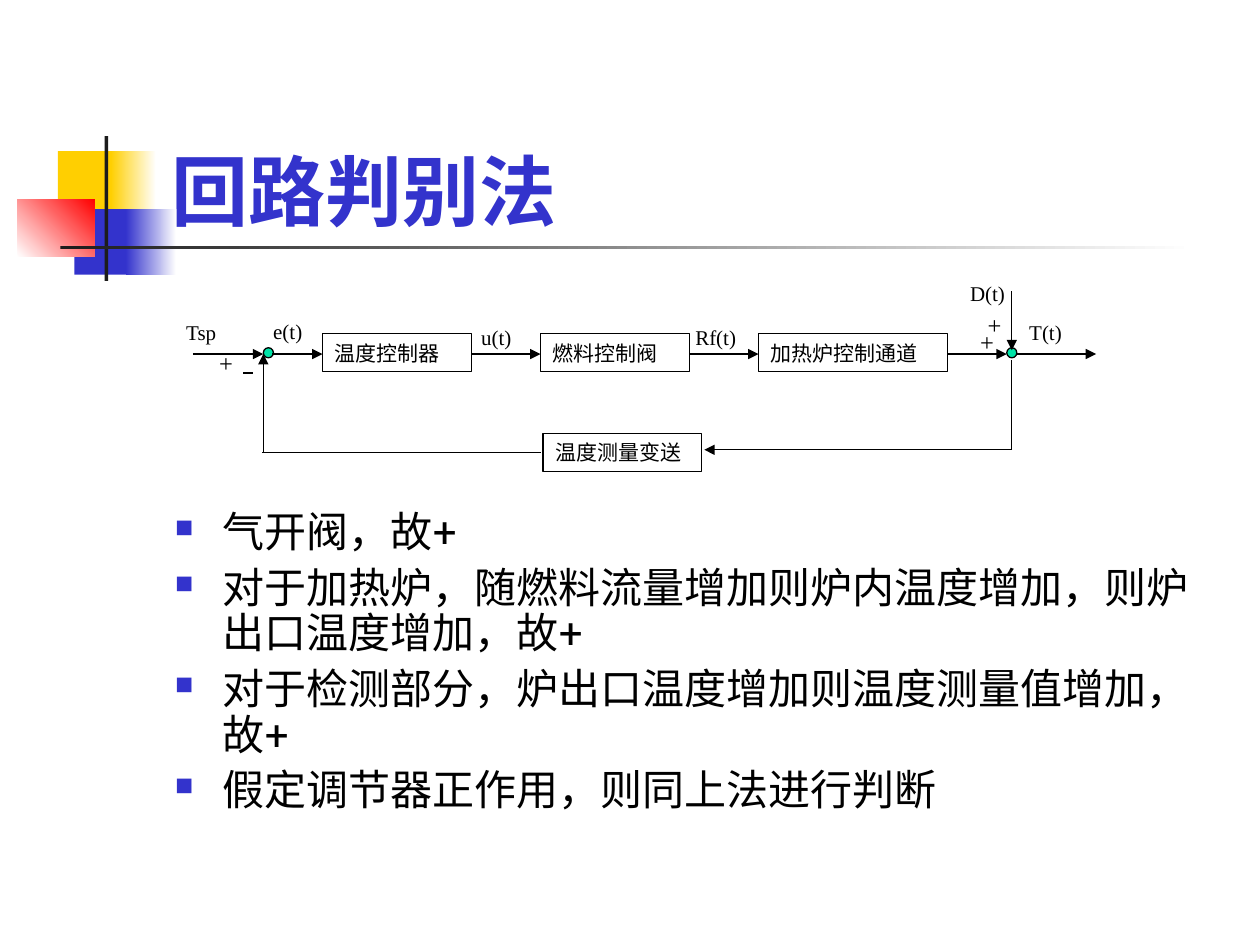
"""Build a slide on judging a furnace control loop, with its block diagram."""
import dataclasses

import lxml.etree
import pptx
import pptx.dml.color
import pptx.enum.shapes
import pptx.enum.text
import pptx.oxml.ns
import pptx.util

Inches = pptx.util.Inches
Pt = pptx.util.Pt
RGBColor = pptx.dml.color.RGBColor
Shapes = pptx.enum.shapes.MSO_SHAPE
qn = pptx.oxml.ns.qn

BLACK = RGBColor(0x00, 0x00, 0x00)
WHITE = RGBColor(0xFF, 0xFF, 0xFF)
CHARCOAL = RGBColor(0x1C, 0x1C, 0x1C)
YELLOW = RGBColor(0xFF, 0xCF, 0x01)
BLUE = RGBColor(0x33, 0x33, 0xCC)
RED = RGBColor(0xFF, 0x00, 0x00)
GREEN = RGBColor(0x00, 0xE4, 0xA8)

TITLE_FONT = {"name": "Roboto", "size": Pt(44), "bold": True}
BODY_FONT = {"name": "Roboto", "size": Pt(24)}
LABEL_FONT = {"name": "Times New Roman", "size": Pt(12)}
SIGN_FONT = {"name": "Times New Roman", "size": Pt(14)}
BODY_SPACING = {"line_spacing": 0.9, "space_before": Pt(6)}
LINE_WIDTH = Pt(0.75)
SIGNAL_Y = 2.81


@dataclasses.dataclass(frozen=True)
class Panel:
    left: float
    top: float
    width: float
    height: float
    start: RGBColor
    end: RGBColor | None = None
    angle: float = 0


@dataclasses.dataclass(frozen=True)
class Block:
    text: str
    left: float
    top: float
    width: float


@dataclasses.dataclass(frozen=True)
class Label:
    text: str
    left: float
    top: float
    width: float
    height: float = 0.3
    font: dict = dataclasses.field(default_factory=lambda: LABEL_FONT)


@dataclasses.dataclass(frozen=True)
class Wire:
    start: tuple[float, float]
    end: tuple[float, float]
    arrow: bool = True


PANELS = [
    Panel(0.46, 1.2, 0.48, 0.52, YELLOW),
    Panel(0.88, 1.2, 0.36, 0.52, YELLOW, WHITE),
    Panel(0.59, 1.66, 0.46, 0.52, BLUE),
    Panel(1, 1.66, 0.4, 0.52, BLUE, WHITE),
    Panel(0.14, 1.58, 0.61, 0.46, WHITE, RED, 45),
    Panel(0.83, 1.08, 0.03, 1.15, CHARCOAL),
    Panel(0.48, 1.95, 9, 0.03, CHARCOAL, WHITE),
]
BLOCKS = [
    Block("温度控制器", 2.56, 2.65, 1.18),
    Block("燃料控制阀", 4.29, 2.65, 1.18),
    Block("加热炉控制通道", 6.02, 2.65, 1.5),
    Block("温度测量变送", 4.31, 3.44, 1.26),
]
LABELS = [
    Label("e(t)", 2.07, 2.48, 0.47),
    Label("u(t)", 3.72, 2.53, 0.47),
    Label("Rf(t)", 5.42, 2.53, 0.63),
    Label("Tsp", 1.38, 2.49, 0.47),
    Label("D(t)", 7.6, 2.18, 0.55),
    Label("T(t)", 8.07, 2.49, 0.55),
    Label("+", 1.64, 2.71, 0.24, 0.34, SIGN_FONT),
    Label("+", 7.74, 2.41, 0.24, 0.34, SIGN_FONT),
    Label("+", 7.68, 2.55, 0.24, 0.34, SIGN_FONT),
]
JUNCTION_LEFTS = [2.09, 7.99]
SIGNAL_SPANS = [(1.53, 2.09), (2.16, 2.56), (3.74, 4.29),
                (5.47, 6.02), (7.52, 7.99), (8.07, 8.7)]
WIRES = [Wire((start, SIGNAL_Y), (end, SIGNAL_Y)) for start, end in SIGNAL_SPANS] + [
    Wire((8.03, 2.31), (8.03, 2.78)),
    Wire((8.03, 2.86), (8.03, 3.57), False),
    Wire((8.03, 3.57), (5.59, 3.57)),
    Wire((4.29, 3.59), (2.08, 3.59), False),
    Wire((2.09, 3.59), (2.09, SIGNAL_Y)),
    Wire((1.93, 2.96), (2.01, 2.96), False),
]
POINTS = [
    "气开阀，故+",
    "对于加热炉，随燃料流量增加则炉内温度增加，则炉出口温度增加，故+",
    "对于检测部分，炉出口温度增加则温度测量值增加，故+",
    "假定调节器正作用，则同上法进行判断",
]


def apply(target: object, values: dict) -> None:
    """Set each named attribute on the target."""
    for name, value in values.items():
        setattr(target, name, value)


def write(paragraph, text: str, font: dict, color: RGBColor = BLACK) -> None:
    """Put left-aligned, formatted text in a paragraph."""
    paragraph.text = text
    paragraph.alignment = pptx.enum.text.PP_ALIGN.LEFT
    for run in paragraph.runs:
        apply(run.font, font)
        run.font.color.rgb = color


def fit_text(shape, text: str, font: dict) -> None:
    """Write one line of text into a shape that grows with it."""
    apply(shape.text_frame, {
        "word_wrap": True,
        "vertical_anchor": pptx.enum.text.MSO_ANCHOR.TOP,
        "auto_size": pptx.enum.text.MSO_AUTO_SIZE.SHAPE_TO_FIT_TEXT,
    })
    write(shape.text_frame.paragraphs[0], text, font)


def add_shape(slide, kind, left: float, top: float, width: float, height: float):
    """Add a preset shape without a shadow."""
    shape = slide.shapes.add_shape(
        kind, Inches(left), Inches(top), Inches(width), Inches(height))
    shape.shadow.inherit = False
    return shape


def outline(line) -> None:
    """Give a line the diagram's thin black stroke."""
    line.color.rgb = BLACK
    line.width = LINE_WIDTH


def add_panel(slide, panel: Panel) -> None:
    """Draw a decorative rectangle, plain or graded."""
    shape = add_shape(slide, Shapes.RECTANGLE, panel.left, panel.top, panel.width, panel.height)
    shape.line.fill.background()
    if panel.end is None:
        shape.fill.solid()
        shape.fill.fore_color.rgb = panel.start
        return
    shape.fill.gradient()
    shape.fill.gradient_angle = panel.angle
    for stop, color in zip(shape.fill.gradient_stops, (panel.start, panel.end)):
        stop.color.rgb = color


def add_block(slide, block: Block) -> None:
    """Draw a labelled block of the control loop."""
    shape = add_shape(slide, Shapes.RECTANGLE, block.left, block.top, block.width, 0.3)
    shape.fill.background()
    outline(shape.line)
    fit_text(shape, block.text, LABEL_FONT)


def add_label(slide, label: Label) -> None:
    """Write a signal name or sign."""
    shape = slide.shapes.add_textbox(
        Inches(label.left), Inches(label.top), Inches(label.width), Inches(label.height))
    fit_text(shape, label.text, label.font)


def add_junction(slide, left: float) -> None:
    """Draw a summing junction."""
    shape = add_shape(slide, Shapes.OVAL, left, 2.76, 0.08, 0.08)
    shape.fill.solid()
    shape.fill.fore_color.rgb = GREEN
    outline(shape.line)


def add_wire(slide, wire: Wire) -> None:
    """Draw a signal line with an optional arrowhead."""
    connector = slide.shapes.add_connector(
        pptx.enum.shapes.MSO_CONNECTOR.STRAIGHT, *map(Inches, wire.start + wire.end))
    outline(connector.line)
    properties = connector._element.spPr
    if wire.arrow:
        lxml.etree.SubElement(properties.find(qn("a:ln")), qn("a:tailEnd"), type="triangle")
    lxml.etree.SubElement(properties, qn("a:effectLst"))


def add_bullet(paragraph) -> None:
    """Give a paragraph a hanging blue square bullet."""
    properties = paragraph._p.get_or_add_pPr()
    properties.set("marL", str(Inches(0.38)))
    properties.set("indent", str(-Inches(0.38)))
    color = lxml.etree.SubElement(properties, qn("a:buClr"))
    lxml.etree.SubElement(color, qn("a:srgbClr"), val=str(BLUE))
    lxml.etree.SubElement(properties, qn("a:buSzPct"), val="60000")
    lxml.etree.SubElement(properties, qn("a:buChar"), char="■")


def add_points(slide) -> None:
    """Write the bulleted reasoning below the diagram."""
    frame = slide.shapes.add_textbox(
        Inches(1.29), Inches(4.01), Inches(8.5), Inches(2.7)).text_frame
    frame.word_wrap = True
    for index, point in enumerate(POINTS):
        paragraph = frame.add_paragraph() if index else frame.paragraphs[0]
        add_bullet(paragraph)
        apply(paragraph, BODY_SPACING if index else {"line_spacing": 0.9})
        write(paragraph, point, BODY_FONT)


def add_title(slide) -> None:
    """Place and format the slide title."""
    title = slide.shapes.title
    apply(title, {"left": Inches(1.26), "top": Inches(0.67),
                  "width": Inches(8.52), "height": Inches(1.25)})
    apply(title.text_frame, {"vertical_anchor": pptx.enum.text.MSO_ANCHOR.BOTTOM,
                             "auto_size": pptx.enum.text.MSO_AUTO_SIZE.NONE})
    write(title.text_frame.paragraphs[0], "回路判别法", TITLE_FONT, BLUE)


def main() -> None:
    """Build and save the presentation."""
    presentation = pptx.Presentation()
    apply(presentation, {"slide_width": Inches(10), "slide_height": Inches(7.5)})
    slide = presentation.slides.add_slide(presentation.slide_layouts[5])
    add_title(slide)
    for draw, items in ((add_panel, PANELS), (add_block, BLOCKS), (add_label, LABELS),
                        (add_junction, JUNCTION_LEFTS), (add_wire, WIRES)):
        for item in items:
            draw(slide, item)
    add_points(slide)
    presentation.save("out.pptx")


if __name__ == "__main__":
    main()
